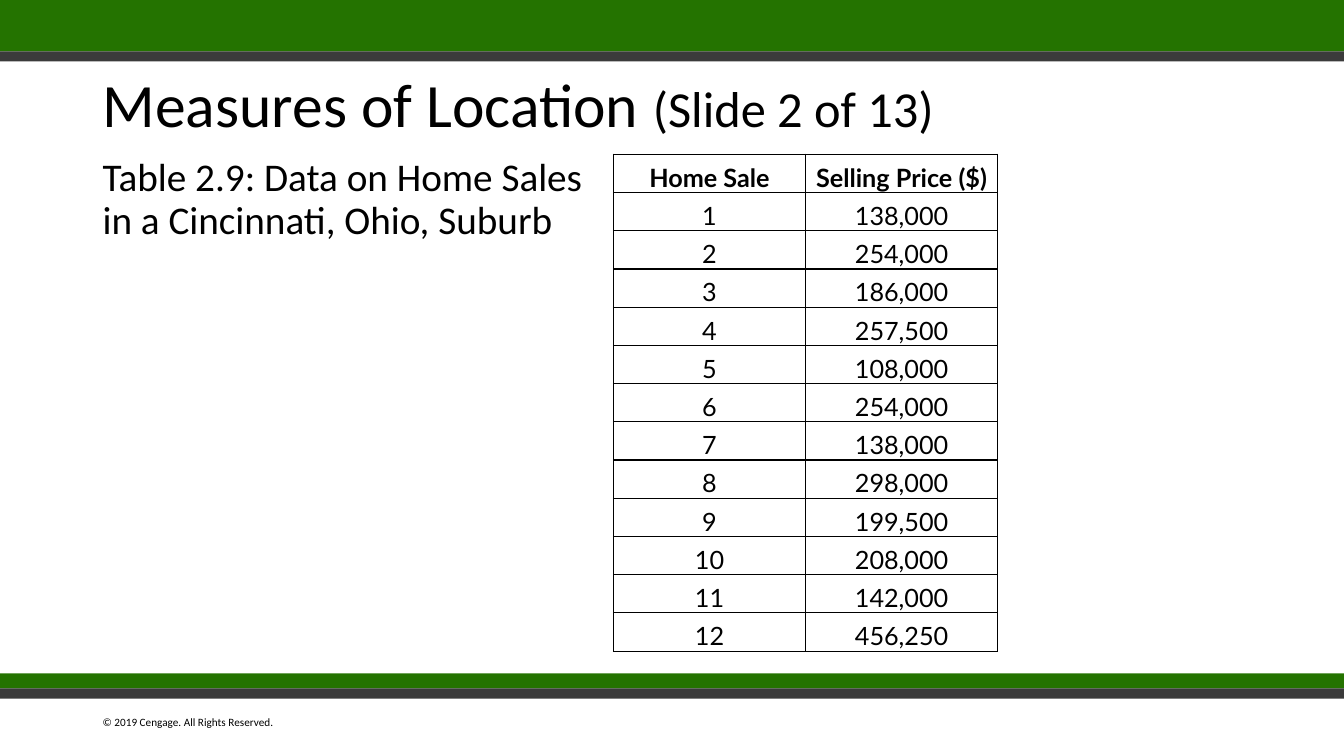
from lxml import etree
from pptx import Presentation
from pptx.dml.color import RGBColor
from pptx.enum.shapes import MSO_SHAPE
from pptx.enum.text import MSO_ANCHOR, PP_ALIGN
from pptx.oxml.ns import qn
from pptx.util import Pt

RECT = MSO_SHAPE.RECTANGLE
TOP, MIDDLE, BOTTOM = MSO_ANCHOR.TOP, MSO_ANCHOR.MIDDLE, MSO_ANCHOR.BOTTOM
CENTER = PP_ALIGN.CENTER

GREEN = RGBColor(0x24, 0x73, 0x00)
DARK = RGBColor(0x3B, 0x3B, 0x3B)
DARK_LOWER = RGBColor(0x3A, 0x3A, 0x3A)
BLACK = RGBColor(0, 0, 0)

SLIDE_W, SLIDE_H = 960, 540
LEFT = 66.2
COL_W, ROW_H = 137.2, 27.3

PRICES = [138000, 254000, 186000, 257500, 108000, 254000,
          138000, 298000, 199500, 208000, 142000, 456250]


def add_text(s, top, width, height, runs, spacing=0.9, anchor=TOP):
    """Add a left-aligned Calibri text box; runs holds (text, size) pairs."""
    tf = s.shapes.add_textbox(Pt(LEFT), Pt(top), Pt(width), Pt(height)).text_frame
    tf.word_wrap = True
    tf.vertical_anchor = anchor
    p = tf.paragraphs[0]
    p.line_spacing = spacing
    p.font.name = "Calibri"
    p.font.color.rgb = BLACK
    for text, size in runs:
        for i, line in enumerate(text.split("\n")):
            if i:
                p.add_line_break()
            r = p.add_run()
            r.text = line
            r.font.size = Pt(size)


def add_borders(cell):
    """Draw a thin black line on all four sides of a table cell."""
    tcPr = cell._tc.get_or_add_tcPr()
    for i, side in enumerate(("a:lnL", "a:lnR", "a:lnT", "a:lnB")):
        ln = etree.Element(qn(side), w=str(Pt(1)))
        fill = etree.SubElement(ln, qn("a:solidFill"))
        etree.SubElement(fill, qn("a:srgbClr"), val=str(BLACK))
        tcPr.insert(i, ln)


prs = Presentation()
prs.slide_width, prs.slide_height = Pt(SLIDE_W), Pt(SLIDE_H)
s = prs.slides.add_slide(prs.slide_layouts[6])

# Footer and bands
add_text(s, 507.6, 144, 16.6, [("© 2019 Cengage. All Rights Reserved.", 8)], spacing=1.0)

for top, height, color in [(0, 36.7, GREEN), (36.7, 7.2, DARK),
                           (481, 10.8, GREEN), (491.8, 7.2, DARK_LOWER)]:
    sp = s.shapes.add_shape(RECT, 0, Pt(top), Pt(SLIDE_W), Pt(height))
    sp.shadow.inherit = False
    sp.fill.solid()
    sp.fill.fore_color.rgb = color
    sp.line.fill.background()

# Title and caption
add_text(s, 48.2, 828, 56.9,
         [("Measures of Location ", 44), ("(Slide 2 of 13)", 36)], anchor=MIDDLE)
add_text(s, 109.4, 828, 108,
         [("Table 2.9: Data on Home Sales\nin a Cincinnati, Ohio, Suburb", 28)])

# Home sales table
rows = [("Home Sale", "Selling Price ($)")]
rows += [(str(n), f"{price:,}") for n, price in enumerate(PRICES, 1)]
table = s.shapes.add_table(len(rows), 2, Pt(438.2), Pt(110.2),
                           Pt(2 * COL_W), Pt(len(rows) * ROW_H)).table
table.first_row = table.horz_banding = False
for column in table.columns:
    column.width = Pt(COL_W)
for i, values in enumerate(rows):
    table.rows[i].height = Pt(ROW_H)
    for j, value in enumerate(values):
        cell = table.cell(i, j)
        cell.fill.background()
        add_borders(cell)
        cell.vertical_anchor = BOTTOM
        cell.margin_left = cell.margin_right = Pt(5)
        cell.margin_top = cell.margin_bottom = 0
        p = cell.text_frame.paragraphs[0]
        p.text = value
        p.alignment = CENTER
        p.line_spacing = 1.07
        p.font.name = "Lato"
        p.font.size = Pt(18)
        p.font.bold = i == 0
        p.font.color.rgb = BLACK

prs.save("out.pptx")
